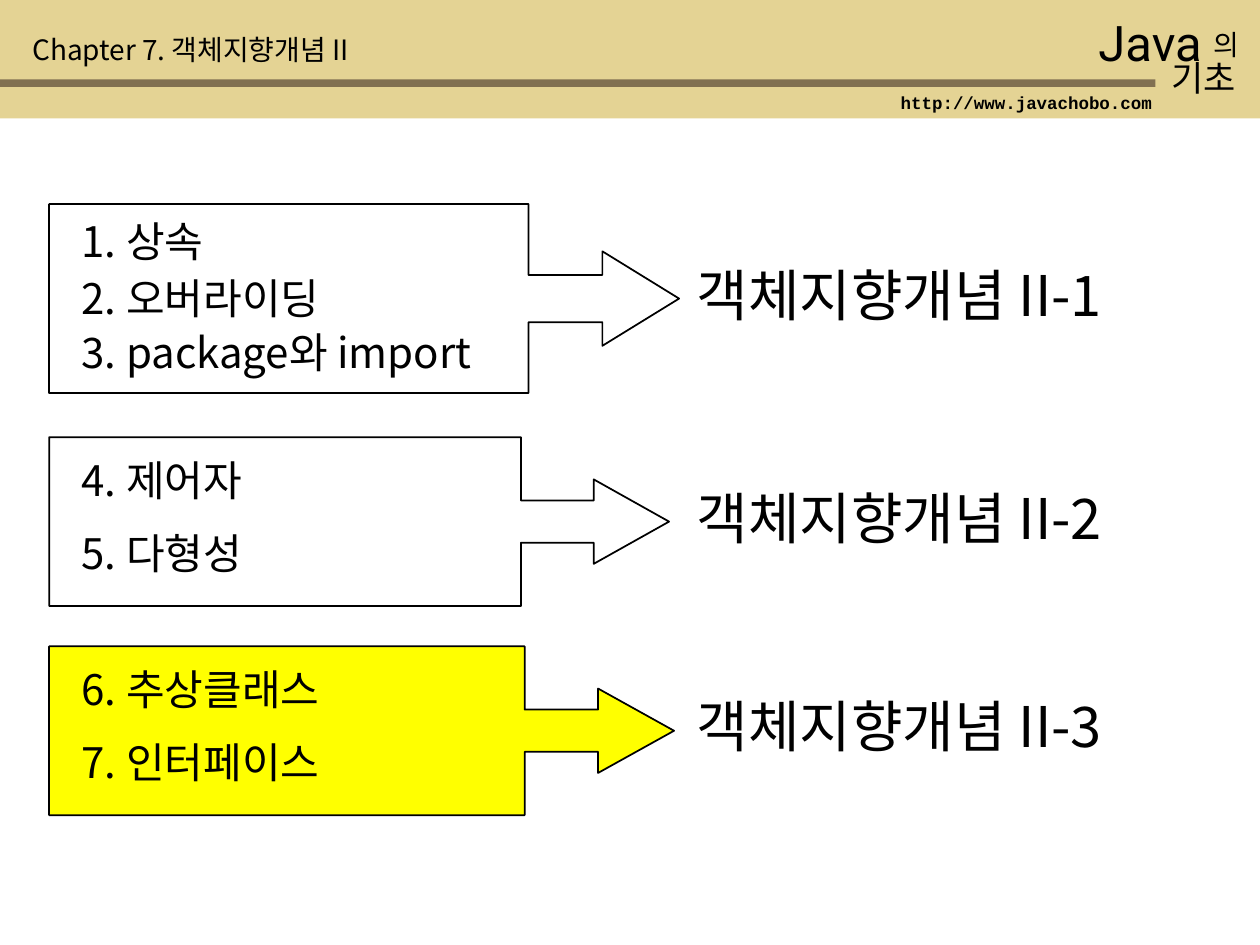
from lxml import etree
from pptx import Presentation
from pptx.dml.color import RGBColor
from pptx.enum import shapes, text
from pptx.oxml import ns
from pptx.util import Inches, Pt

BLACK = RGBColor(0x00, 0x00, 0x00)
YELLOW = RGBColor(0xFF, 0xFF, 0x00)
SAND = RGBColor(0xE4, 0xD3, 0x94)
BROWN = RGBColor(0x81, 0x70, 0x51)
KOREAN = "Noto Sans CJK KR"


class Deck:
    """Holds the style and the current slide."""

    def __init__(self):
        self.prs = Presentation()
        self.prs.slide_width = Inches(10)
        self.prs.slide_height = Inches(7.5)
        self.slide = self.prs.slides.add_slide(self.prs.slide_layouts[6])

    def shape(self, kind, box, fill=None):
        item = self.slide.shapes.add_shape(kind, *map(Inches, box))
        item.shadow.inherit = False
        if fill is None:
            item.fill.background()
        else:
            item.fill.solid()
            item.fill.fore_color.rgb = fill
        return item

    def bar(self, box, fill):
        item = self.shape(shapes.MSO_SHAPE.RECTANGLE, box, fill)
        item.line.fill.background()

    def callout(self, box, head, fill=None):
        item = self.shape(shapes.MSO_SHAPE.RIGHT_ARROW_CALLOUT, box, fill)
        item.line.color.rgb = BLACK
        item.line.width = Pt(1)
        for i, value in enumerate((0.25, 0.25, head, 0.761)):
            item.adjustments[i] = value

    def label(self, words, left, top, width, size, face=KOREAN, bold=False):
        # One line at 1.2 times the type size, plus the insets
        high = size * 1.2 / 72 + 0.1
        box = self.slide.shapes.add_textbox(
            *map(Inches, (left, top, width, high)))
        frame = box.text_frame
        frame.word_wrap = True
        frame.auto_size = text.MSO_AUTO_SIZE.SHAPE_TO_FIT_TEXT
        run = frame.paragraphs[0].add_run()
        run.text = words
        font = run.font
        font.name, font.size, font.bold = face, Pt(size), bold
        font.color.rgb = BLACK
        # East Asian letters take the same face
        asian = etree.SubElement(run._r.get_or_add_rPr(), ns.qn("a:ea"))
        asian.set("typeface", face)

    def save(self):
        self.prs.save("out.pptx")


# Callout top, width, height, arrow head, fill; title top; topics with tops
PARTS = [
    (1.62, 5, 1.5, 0.406, None, 2.02,
     [("1. 상속", 1.66), ("2. 오버라이딩", 2.11),
      ("3. package와 import", 2.54)]),
    (3.47, 4.92, 1.34, 0.446, None, 3.79,
     [("4. 제어자", 3.56), ("5. 다형성", 4.14)]),
    (5.13, 4.96, 1.34, 0.45, YELLOW, 5.44,
     [("6. 추상클래스", 5.22), ("7. 인터페이스", 5.8)]),
]


def main():
    deck = Deck()

    # Header band
    deck.bar((0, 0, 10, 0.94), SAND)
    deck.bar((0, 0.63, 9.17, 0.06), BROWN)
    deck.label("Chapter 7. 객체지향개념 II", 0.16, 0.21, 4.33, 16)
    deck.label("http://www.javachobo.com", 7.05, 0.68, 2.25, 10,
               "Courier New", True)

    # Course name
    deck.label("Java", 8.62, 0.05, 1.33, 28, "Roboto")
    deck.label("의", 9.53, 0.17, 0.59, 16)
    deck.label("기초", 9.2, 0.4, 0.89, 20)

    # Topics pointing to the part they belong to
    for num, part in enumerate(PARTS, 1):
        top, width, high, head, fill, mid, topics = part
        deck.callout((0.39, top, width, high), head, fill)
        for words, place in topics:
            deck.label(words, 0.55, place, 5.32, 24)
        deck.label(f"객체지향개념 II-{num}", 5.43, mid, 4.29, 32)

    deck.save()


if __name__ == "__main__":
    main()
